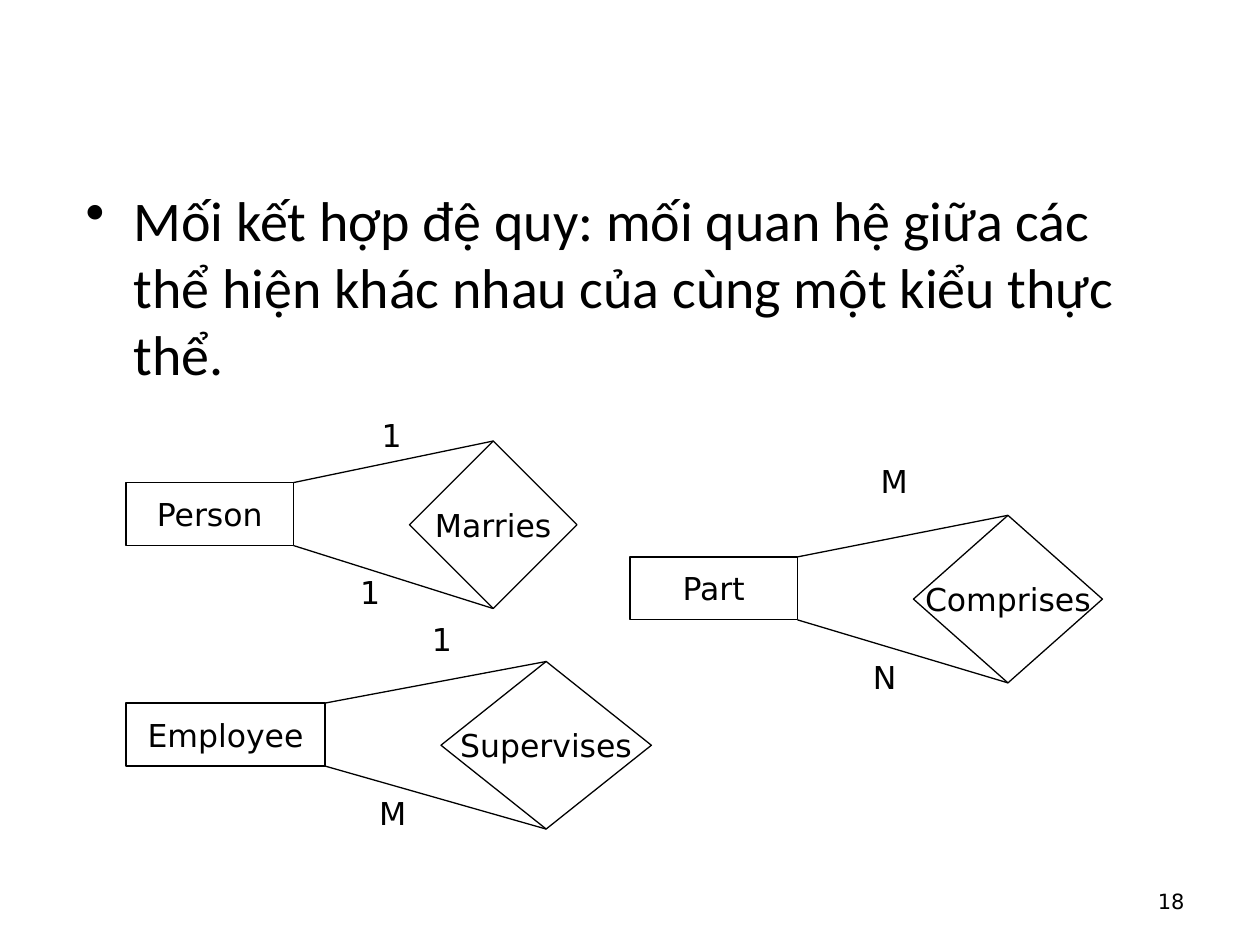
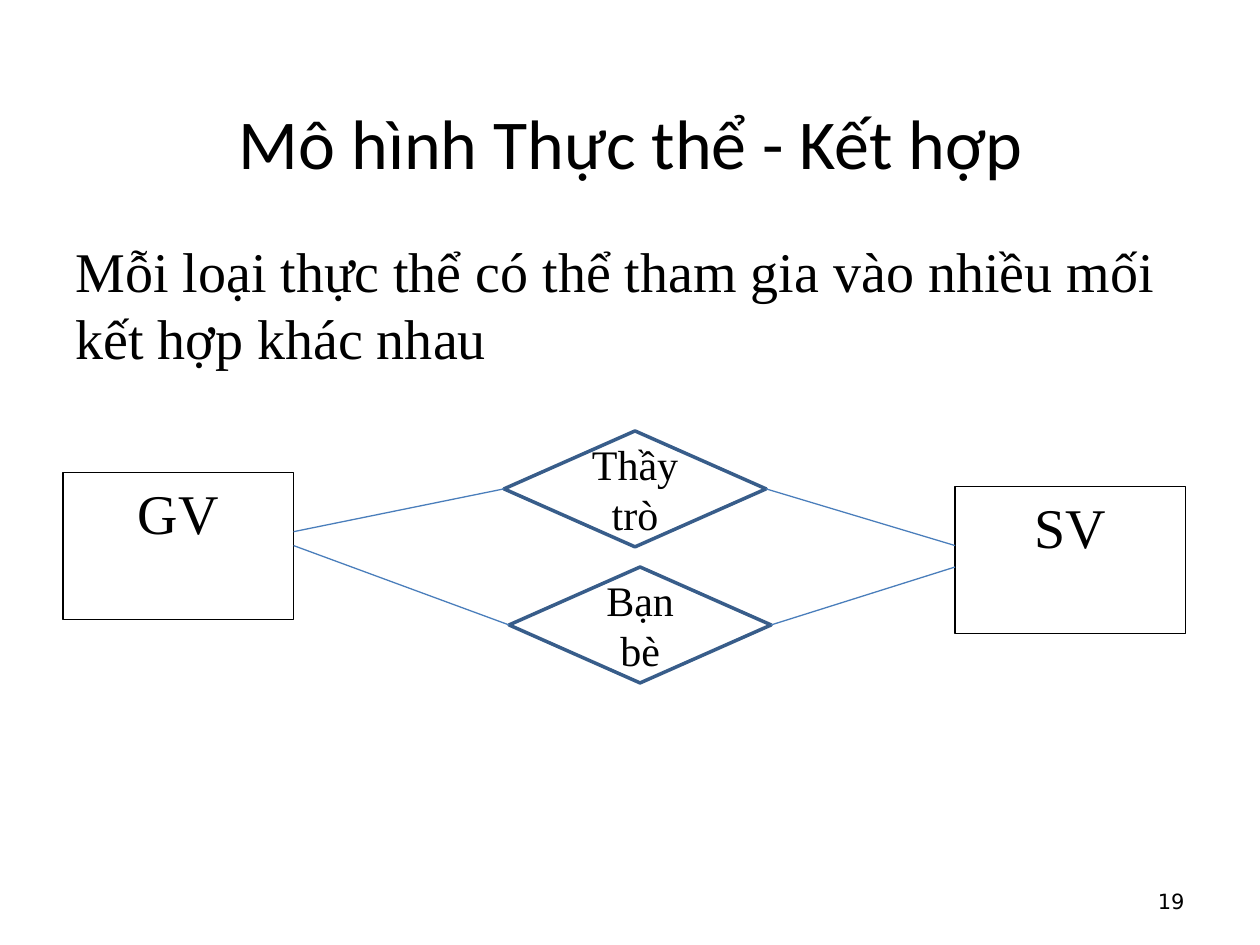
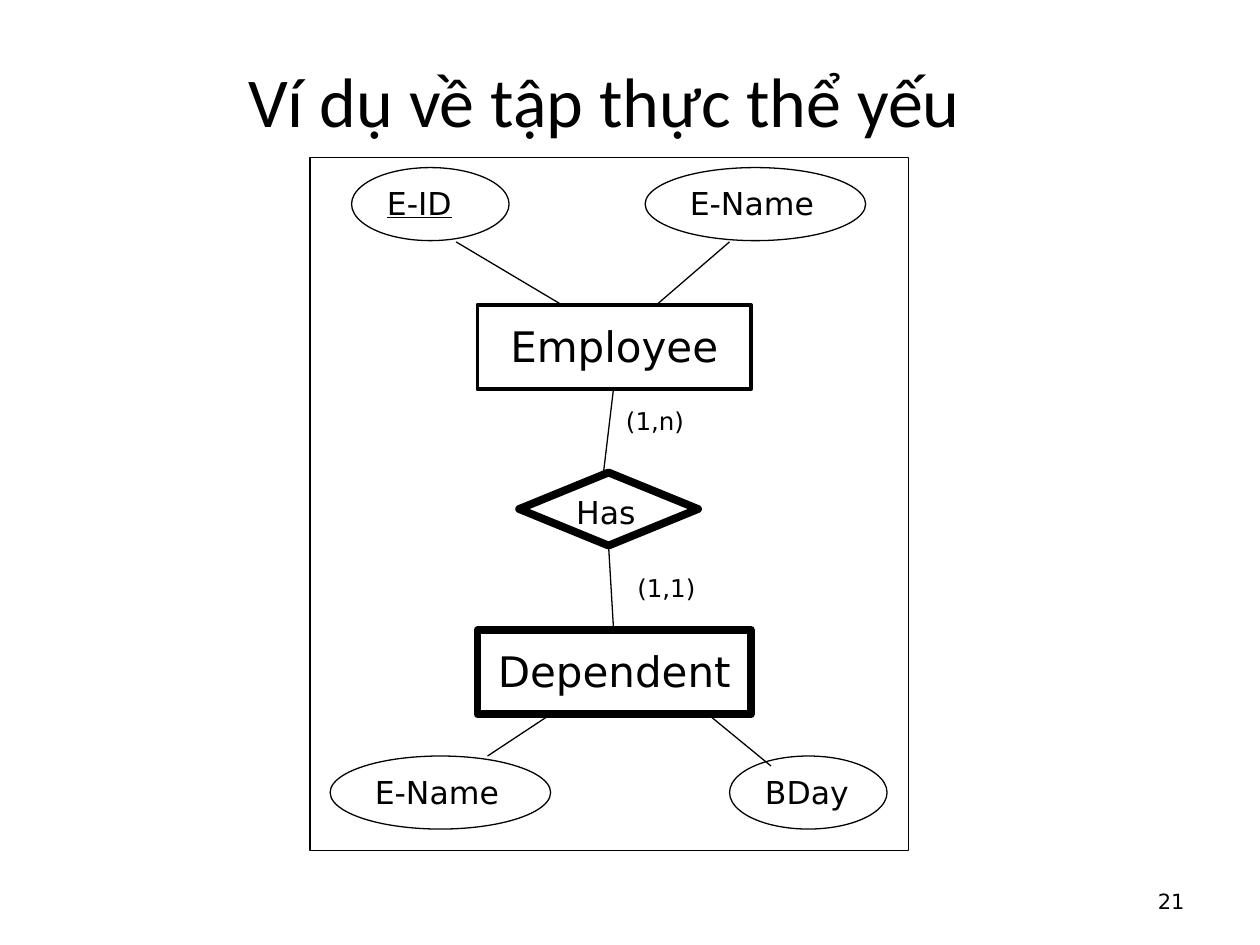
from pptx import Presentation
from pptx.dml.color import RGBColor
from pptx.enum.shapes import MSO_CONNECTOR, MSO_SHAPE
from pptx.enum.text import MSO_ANCHOR as Anchor, PP_ALIGN as Align
from pptx.oxml.ns import qn
from pptx.util import Inches, Pt
from lxml import etree

BLACK = RGBColor(0x00, 0x00, 0x00)
WHITE = RGBColor(0xFF, 0xFF, 0xFF)
NAVY = RGBColor(0x38, 0x5D, 0x8A)
BLUE = RGBColor(0x4A, 0x7E, 0xBB)

HEADING = "Calibri"
SERIF = "Times New Roman"
LABEL = "DejaVu Sans"

RECT, DIAMOND, ELLIPSE = MSO_SHAPE.RECTANGLE, MSO_SHAPE.DIAMOND, MSO_SHAPE.OVAL
THIN = 0.75
DEFAULT_INSETS = (0.1, 0.05)
BULLET_INDENT = 0.38


class Deck:
    def __init__(self):
        self.presentation = Presentation()
        self.presentation.slide_width = Inches(10)
        self.presentation.slide_height = Inches(7.5)
        self.slide = None
        self.shapes = None

    def start_slide(self, number):
        layout = self.presentation.slide_layouts[6]
        self.slide = self.presentation.slides.add_slide(layout)
        self.shapes = self.slide.shapes
        self.text(number, (7.17, 6.95, 2.33, 0.4), size=12,
                  align=Align.RIGHT, anchor=Anchor.MIDDLE)

    def start_group(self):
        """Send the elements that follow into one group."""
        self.shapes = self.slide.shapes.add_group_shape().shapes

    def title(self, words, left, top):
        self.text(words, (left, top, 8.75, 0.58), font=HEADING, size=40,
                  align=Align.CENTER, anchor=Anchor.MIDDLE, insets=(0, 0))

    def bullet_text(self, words, box):
        shape = self.text(words, box, font=HEADING, size=32, insets=(0.06, 0.05))
        shape.fill.solid()
        shape.fill.fore_color.rgb = WHITE
        properties = shape.text_frame.paragraphs[0]._p.get_or_add_pPr()
        properties.set("marL", str(Inches(BULLET_INDENT)))
        properties.set("indent", str(-Inches(BULLET_INDENT)))
        bullet = etree.Element(qn("a:buChar"), char="•")
        properties.insert(0, bullet)

    def text(self, words, box, wrap=True, **style):
        shape = self.shapes.add_textbox(*map(Inches, box))
        self.set_text(shape, words, wrap=wrap, **style)
        return shape

    def node(self, kind, box, words=None, line=BLACK, width=THIN, fill=None, **style):
        shape = self.shapes.add_shape(kind, *map(Inches, box))
        shape.shadow.inherit = False
        if fill is None:
            shape.fill.background()
        else:
            shape.fill.solid()
            shape.fill.fore_color.rgb = fill
        shape.line.color.rgb = line
        shape.line.width = Pt(width)
        if words:
            self.set_text(shape, words, **style)

    def line(self, start, end, color=BLACK):
        connector = self.shapes.add_connector(
            MSO_CONNECTOR.STRAIGHT, *map(Inches, (*start, *end)))
        connector.line.color.rgb = color
        connector.line.width = Pt(THIN)
        etree.SubElement(connector._element.spPr, qn("a:effectLst"))

    def set_text(self, shape, words, font=LABEL, size=18, align=Align.LEFT,
                 anchor=Anchor.TOP, insets=DEFAULT_INSETS, wrap=True, underline=None):
        """Fill the shape with one paragraph; insets are (side, top)."""
        frame = shape.text_frame
        frame.word_wrap = wrap
        frame.vertical_anchor = anchor
        side, top = insets
        frame.margin_left = frame.margin_right = Inches(side)
        frame.margin_top = Inches(top)
        frame.margin_bottom = Inches(min(top, 0.05))
        paragraph = frame.paragraphs[0]
        paragraph.text = words
        paragraph.alignment = align
        paragraph.font.name = font
        paragraph.font.size = Pt(size)
        paragraph.font.color.rgb = BLACK
        paragraph.font.underline = underline

    def recursive_relation(self, entity, left, top, width, relation, relation_width):
        """Draw an entity joined twice to the diamond on its right."""
        height, rise, gap, relation_height = 0.5, 0.33, 0.92, 1.33
        right = left + width
        relation_left, relation_top = right + gap, top - rise
        middle = relation_left + relation_width / 2
        style = dict(align=Align.CENTER, anchor=Anchor.MIDDLE, wrap=False)
        self.node(RECT, (left, top, width, height), entity, **style)
        self.node(DIAMOND, (relation_left, relation_top, relation_width,
                            relation_height), relation, **style)
        self.line((right, top), (middle, relation_top))
        self.line((right, top + height), (middle, relation_top + relation_height))


def add_recursive_slide(deck):
    deck.start_slide("18")
    deck.bullet_text(
        "Mối kết hợp đệ quy: mối quan hệ giữa các thể hiện khác nhau "
        "của cùng một kiểu thực thể.", (0.62, 1.42, 8.75, 5.25))
    deck.recursive_relation("Person", 1, 3.83, 1.33, "Marries", 1.33)
    deck.recursive_relation("Employee", 1, 5.58, 1.58, "Supervises", 1.67)
    deck.recursive_relation("Part", 5, 4.42, 1.33, "Comprises", 1.5)
    cardinalities = [
        ("1", 2.93, 3.25, 0.34), ("1", 2.76, 4.5, 0.34),
        ("1", 3.33, 4.87, 0.34), ("M", 2.91, 6.25, 0.42),
        ("M", 6.89, 3.62, 0.42), ("N", 6.83, 5.17, 0.39),
    ]
    for words, left, top, width in cardinalities:
        deck.text(words, (left, top, width, 0.4), wrap=False)


def add_multiple_relations_slide(deck):
    deck.start_slide("19")
    deck.title("Mô hình Thực thể - Kết hợp", 0.63, 0.83)
    deck.text("Mỗi loại thực thể có thể tham gia vào nhiều mối kết hợp khác nhau",
              (0.5, 1.83, 9.17, 1.17), font=SERIF, size=32)
    for entity, left, top in [("GV", 0.5, 3.75), ("SV", 7.58, 3.86)]:
        deck.node(RECT, (left, top, 1.83, 1.17), entity,
                  font=SERIF, size=32, align=Align.CENTER)
    teacher_right, student_left = 2.33, 7.58
    width, height = 2.08, 0.92
    relations = [("Thầy trò", 4, 3.42, 4.22, 4.33), ("Bạn bè", 4.04, 4.5, 4.33, 4.5)]
    for relation, left, top, teacher_y, student_y in relations:
        middle = top + height / 2
        deck.node(DIAMOND, (left, top, width, height), relation, line=NAVY, width=2,
                  font=SERIF, size=24, align=Align.CENTER, anchor=Anchor.MIDDLE)
        deck.line((teacher_right, teacher_y), (left, middle), BLUE)
        deck.line((left + width, middle), (student_left, student_y), BLUE)


def add_weak_entity_slide(deck):
    deck.start_slide("21")
    deck.title("Ví dụ về tập thực thể yếu", 0.42, 0.5)
    deck.start_group()
    deck.node(RECT, (2.46, 1.25, 4.75, 5.5), fill=WHITE)
    for entity, top, border in [("Dependent", 5, 4.5), ("Employee", 2.42, 2.25)]:
        deck.node(RECT, (3.79, top, 2.17, 0.67), entity, width=border,
                  size=24, align=Align.CENTER, insets=(0.1, 0.12))
    attributes = [
        ("E-ID", 2.79, 1.33, 1.25, True), ("E-Name", 5.12, 1.33, 1.75, None),
        ("BDay", 5.79, 6, 1.25, None), ("E-Name", 2.62, 6, 1.75, None),
    ]
    for attribute, left, top, width, is_key in attributes:
        deck.node(ELLIPSE, (left, top, width, 0.58), attribute, underline=is_key)
    deck.node(DIAMOND, (4.12, 3.75, 1.42, 0.58), "Has", width=4.5, insets=(0.1, 0.02))
    links = [
        ((4.87, 3.08), (4.79, 3.75)), ((4.83, 4.33), (4.87, 5)),
        ((3.62, 1.92), (4.46, 2.42)), ((5.79, 1.92), (5.21, 2.42)),
        ((4.37, 5.67), (3.87, 6)), ((5.62, 5.67), (6.12, 6.08)),
    ]
    for start, end in links:
        deck.line(start, end)
    for words, left, top in [("(1,n)", 4.87, 3.17), ("(1,1)", 4.96, 4.5)]:
        deck.text(words, (left, top, 1, 0.34), size=14)


def main():
    deck = Deck()
    add_recursive_slide(deck)
    add_multiple_relations_slide(deck)
    add_weak_entity_slide(deck)
    deck.presentation.save("out.pptx")


if __name__ == "__main__":
    main()
